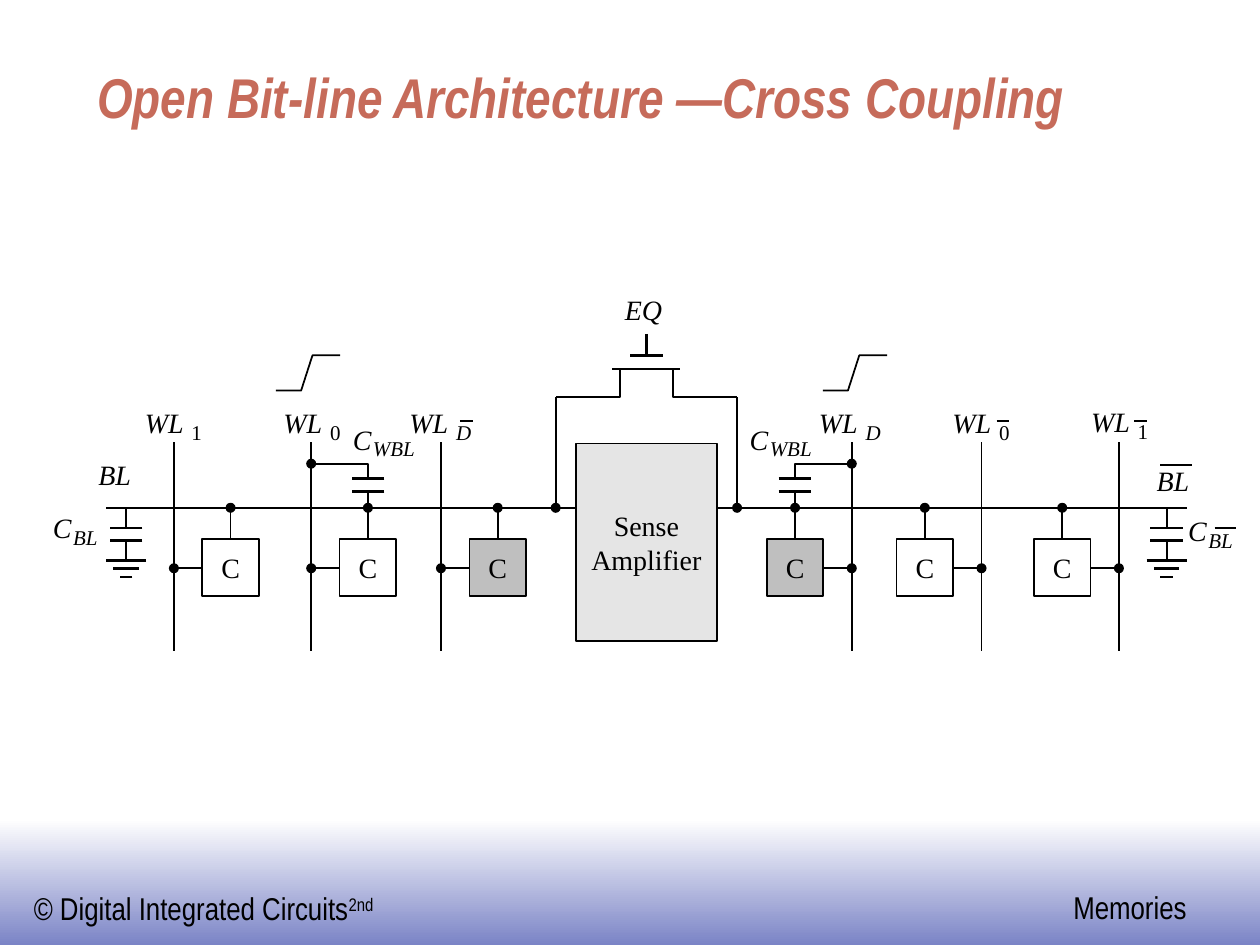
import pptx
import pptx.util
import pptx.dml.color
import pptx.enum.dml
import pptx.enum.shapes
import pptx.enum.text
import pptx.oxml.ns
import lxml.etree

COLORS = {"black": "000000", "white": "FFFFFF", "band": "7B84C6",
          "title": "C66B5A", "amplifier": "E5E5E5", "dummy": "BFBFBF"}
SANS, SERIF = "Arial Narrow", "Times New Roman"
INCH = pptx.util.Inches
SHAPE = pptx.enum.shapes.MSO_SHAPE
ALIGN = pptx.enum.text.PP_ALIGN
ANCHOR = pptx.enum.text.MSO_ANCHOR

# Label widths in inches at 16 points
LABEL_WIDTHS = {"C": 0.16, "WL": 0.37, "BL": 0.32, "EQ": 0.35,
                "0": 0.11, "1": 0.11, "D": 0.19, "WBL": 0.53}
# Base, subscript, left, top, overbar (from, to, drop), all within the diagram
LABELS = [
    ("WL", "1", 0.73, 0.9, None), ("WL", "0", 1.83, 0.9, None),
    ("WL", "D", 2.83, 0.9, (0.4, 0.5, 0.12)), ("WL", "D", 6.08, 0.9, None),
    ("WL", "0", 7.14, 0.9, (0.35, 0.45, 0.12)),
    ("WL", "1", 8.24, 0.89, (0.34, 0.44, 0.13)),
    ("BL", "", 0.36, 1.31, None), ("BL", "", 8.76, 1.36, (0.03, 0.28, 0.01)),
    ("C", "BL", 0, 1.73, None), ("C", "BL", 9.01, 1.76, (0.21, 0.38, 0.11)),
    ("C", "WBL", 2.38, 1.03, None), ("C", "WBL", 5.53, 1.03, None),
    ("EQ", "", 4.54, 0, None),
]
# Rows of the diagram, measured down from its top
GATE, CHANNEL, BRIDGE, RAMP = 0.5, 0.61, 0.83, 0.5
WORD_TOP, TAP, BIT_LINE, CELL_TOP, CELL_MIDDLE = 1.19, 1.36, 1.71, 1.96, 2.19
CELL = 0.45
WORD_LINES = (1.63, 2.66, 3.75)  # distances from the middle axis


def color(name):
    return pptx.dml.color.RGBColor.from_string(COLORS[name])


def format_text(frame, text, size=16, font=SERIF, ink="black", bold=False,
                italic=False, align=ALIGN.LEFT, anchor=ANCHOR.TOP, margin=0,
                wrap=False, superscript=""):
    frame.margin_left = frame.margin_right = INCH(margin)
    frame.margin_top = frame.margin_bottom = INCH(margin / 2)
    frame.word_wrap = wrap
    frame.vertical_anchor = anchor
    frame.text = text
    if superscript:
        run = frame.paragraphs[0].add_run()
        run.text = superscript
        run.font._element.set("baseline", "30000")
    for paragraph in frame.paragraphs:
        paragraph.alignment = align
        for run in paragraph.runs:
            run.font.size = pptx.util.Pt(size)
            run.font.name = font
            run.font.bold, run.font.italic = bold, italic
            run.font.color.rgb = color(ink)


def add_text(slide, left, top, width, height, text, **style):
    box = slide.shapes.add_textbox(INCH(left), INCH(top), INCH(width), INCH(height))
    format_text(box.text_frame, text, **style)


def add_block(slide, kind, left, top, width, height, fill=None, outline=True):
    shape = slide.shapes.add_shape(kind, INCH(left), INCH(top), INCH(width), INCH(height))
    shape.shadow.inherit = False
    if fill:
        shape.fill.solid()
        shape.fill.fore_color.rgb = color(fill)
    else:
        shape.fill.background()
    if outline:
        shape.line.color.rgb = color("black")
        shape.line.width = pptx.util.Pt(1)
    else:
        shape.line.fill.background()
    return shape


def add_wire(slide, *points, weight=1):
    """Two points give a connector, more give an open outline."""
    corners = [(INCH(x), INCH(y)) for x, y in points]
    if len(corners) == 2:
        wire = slide.shapes.add_connector(
            pptx.enum.shapes.MSO_CONNECTOR.STRAIGHT, *corners[0], *corners[1])
        lxml.etree.SubElement(wire._element.spPr, pptx.oxml.ns.qn("a:effectLst"))
    else:
        builder = slide.shapes.build_freeform(*corners[0])
        builder.add_line_segments(corners[1:], close=False)
        wire = builder.convert_to_shape()
        wire.shadow.inherit = False
        wire.fill.background()
    wire.line.color.rgb = color("black")
    wire.line.width = pptx.util.Pt(weight)


def add_footer(slide, left, top, width, height):
    band = add_block(slide, SHAPE.RECTANGLE, left, top, width, height, outline=False)
    band.fill.gradient()
    band.fill.gradient_angle = 270
    for stop, name in zip(band.fill.gradient_stops, ("white", "band")):
        stop.color.rgb = color(name)
    add_text(slide, left + 0.17, top + 0.51, 2.93, 0.4, "© Digital Integrated Circuits",
             size=18, font=SANS, margin=0.1, superscript="2nd")
    add_text(slide, left + 8.42, top + 0.5, 1.1, 0.4, "Memories",
             size=18, font=SANS, margin=0.1)


def add_title(slide, left, top, width, height):
    title = slide.shapes.title
    title.left, title.top = INCH(left), INCH(top)
    title.width, title.height = INCH(width), INCH(height)
    format_text(title.text_frame, "Open Bit-line Architecture —Cross Coupling", size=32,
                font=SANS, ink="title", bold=True, italic=True,
                anchor=ANCHOR.BOTTOM, margin=0.1, wrap=True)


def add_half(slide, axis, top, side, coupled):
    """One side of the array: side is -1 for left and 1 for right of the axis."""
    def at(distance, row):
        return axis + side * distance, top + row

    def wire(*points, weight=1):
        add_wire(slide, *(at(*point) for point in points), weight=weight)

    def bar(distance, row, reach):
        wire((distance - reach, row), (distance + reach, row), weight=1.5)

    def dot(distance, row):
        x, y = at(distance, row)
        add_block(slide, SHAPE.OVAL, x - 0.04, y - 0.04, 0.08, 0.08, "black", outline=False)

    # Bit line and its half of the equalizing transistor
    wire((0.56, BIT_LINE), (4.29, BIT_LINE))
    wire((0.72, BIT_LINE), (0.72, BRIDGE))
    wire((0.21, CHANNEL), (0.21, BRIDGE), (0.72, BRIDGE), weight=1.5)
    dot(0.72, BIT_LINE)

    # Word lines with their cells; the innermost is the dummy cell
    for word in WORD_LINES:
        middle = word - CELL
        wire((word, WORD_TOP), (word, 2.85))
        x, y = at(middle, CELL_TOP)
        cell = add_block(slide, SHAPE.RECTANGLE, x - CELL / 2, y, CELL, CELL,
                         "dummy" if word == WORD_LINES[0] else None)
        format_text(cell.text_frame, "C", align=ALIGN.CENTER, anchor=ANCHOR.MIDDLE)
        wire((middle + CELL / 2, CELL_MIDDLE), (word, CELL_MIDDLE))
        wire((middle, CELL_TOP), (middle, BIT_LINE))
        dot(middle, BIT_LINE)
        dot(word, CELL_MIDDLE)

    # Coupling capacitor between a word line and the bit line
    word = WORD_LINES[coupled]
    middle = word - CELL
    wire((middle, 1.48), (middle, TAP), (word, TAP))
    wire((middle, 1.58), (middle, BIT_LINE))
    dot(word, TAP)

    # Bit-line capacitor to ground
    ground = 4.13
    wire((ground, BIT_LINE), (ground, 1.87))
    wire((ground, 1.97), (ground, 2.13))
    for row, reach in ((2.13, 0.16), (2.19, 0.1), (2.26, 0.05)):
        bar(ground, row, reach)
    for distance, row in ((middle, 1.48), (ground, 1.87)):
        bar(distance, row, 0.13)
        bar(distance, row + 0.1, 0.13)


def add_labels(slide, left, top):
    for base, subscript, x, y, overbar in LABELS:
        x, y = left + x, top + y
        width = LABEL_WIDTHS[base]
        add_text(slide, x, y, width, 0.27, base, italic=True)
        if subscript:
            add_text(slide, x + width, y + 0.11, LABEL_WIDTHS[subscript] * 0.75, 0.2,
                     subscript, size=12, italic=subscript.isalpha())
        if overbar:
            start, end, drop = overbar
            add_wire(slide, (x + start, y + drop), (x + end, y + drop))


def add_diagram(slide, left, top, width):
    axis = left + width / 2
    # Sense amplifier
    amplifier = add_block(slide, SHAPE.RECTANGLE, axis - 0.56, top + 1.2, 1.12, 1.57,
                          "amplifier")
    format_text(amplifier.text_frame, "Sense\nAmplifier", align=ALIGN.CENTER,
                anchor=ANCHOR.MIDDLE)
    for side, coupled in ((-1, 1), (1, 0)):
        add_half(slide, axis, top, side, coupled)
    # Equalizer gate
    add_wire(slide, (axis, top + 0.33), (axis, top + GATE), weight=1.5)
    for row, reach in ((GATE, 0.13), (CHANNEL, 0.27)):
        add_wire(slide, (axis - reach, top + row), (axis + reach, top + row), weight=1.5)
    # Rising edges on the two active word lines
    for start in (left + 1.77, left + 6.11):
        add_wire(slide, *((start + x, top + RAMP + y) for x, y in
                          ((0, 0.28), (0.2, 0.28), (0.29, 0), (0.51, 0))))
    add_labels(slide, left, top)


def main():
    presentation = pptx.Presentation()
    presentation.slide_width, presentation.slide_height = INCH(10), INCH(7.5)
    slide = presentation.slides.add_slide(presentation.slide_layouts[5])
    add_footer(slide, 0, 6.5, 10, 1)
    add_title(slide, 0.67, 0.5, 8.5, 0.58)
    add_diagram(slide, 0.42, 2.32, 9.42)
    presentation.save("out.pptx")


if __name__ == "__main__":
    main()
